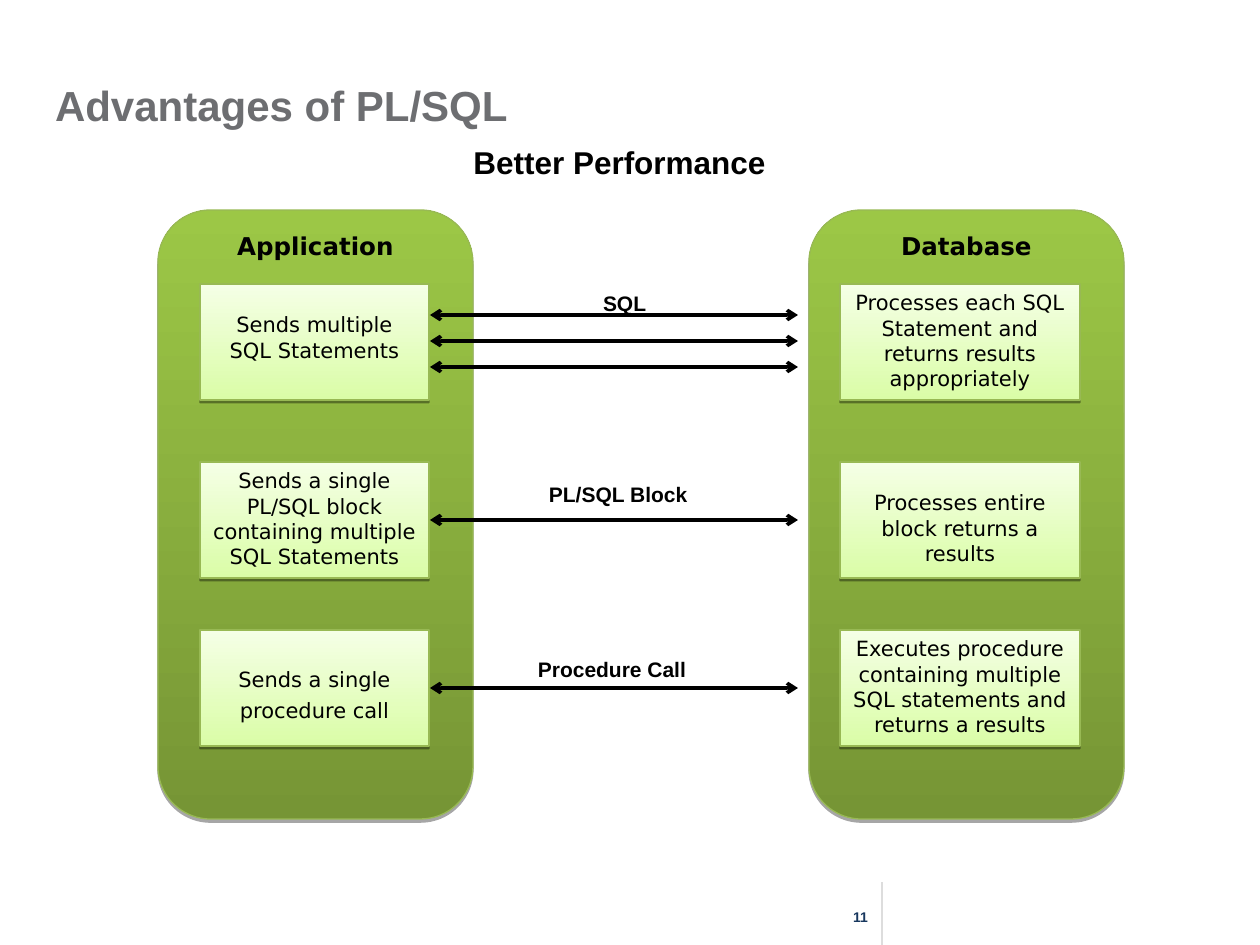
from lxml.etree import SubElement
from pptx import Presentation
from pptx.dml.color import RGBColor
from pptx.enum.shapes import MSO_CONNECTOR as Connector, MSO_SHAPE as Shape
from pptx.enum.text import MSO_ANCHOR as Anchor, PP_ALIGN as Align
from pptx.oxml.ns import qn
from pptx.util import Emu, Pt

PX_PER_INCH = 126
COLORS = {
    "title": "6D6E71", "text": "000000", "number": "17375E", "rule": "DDDDDD",
    "border": "98B954", "panel_low": "769535", "panel_high": "9CC746",
    "step_low": "DAFDA7", "step_high": "F5FFE6",
}
INSET_X, INSET_Y = 13, 6
STEP_TOPS, STEP_HEIGHT = (74, 252, 420), 116

# Each step: text and the extra space above it
APPLICATION_STEPS = [
    ("Sends multiple SQL Statements", 22),
    ("Sends a single PL/SQL block containing multiple SQL Statements", 0),
    ("Sends a single\nprocedure call", 31),
]
DATABASE_STEPS = [
    ("Processes each SQL Statement and returns results appropriately", 0),
    ("Processes entire block returns a results", 22),
    ("Executes procedure containing multiple SQL statements and returns a results", 0),
]
# Each call: label, label box (left, top, width), heights of its arrows
CALLS = [
    ("SQL", (160, 75, 84), (105, 131, 157)),
    ("PL/SQL Block", (106, 266, 168), (310,)),
    ("Procedure Call", (95, 441, 189), (478,)),
]


def px(length):
    return Emu(round(length * 914400 / PX_PER_INCH))


def color(name):
    return RGBColor.from_string(COLORS[name])


def write(shape, text, *, size, font="Arial", bold=False, fill="text",
          align=Align.LEFT, anchor=Anchor.TOP, spacing=None, before=3, drop=0):
    frame = shape.text_frame
    frame.word_wrap = True
    frame.vertical_anchor = anchor
    frame.margin_left = frame.margin_right = px(INSET_X)
    frame.margin_top, frame.margin_bottom = px(INSET_Y + drop), px(INSET_Y)
    for index, line in enumerate(text.split("\n")):
        paragraph = frame.add_paragraph() if index else frame.paragraphs[0]
        paragraph.text = line
        paragraph.alignment = align
        if spacing:
            paragraph.line_spacing = spacing
        if index:
            paragraph.space_before = Pt(before)
        paragraph.font.name = font
        paragraph.font.size = Pt(size)
        paragraph.font.bold = bold
        paragraph.font.color.rgb = color(fill)


def add_text(slide, box, text, **style):
    write(slide.shapes.add_textbox(*map(px, box)), text, **style)


def add_card(slide, kind, box, low, high, shadow_alpha, shadow_distance):
    """Gradient card, lighter at the top, with a hard shadow below."""
    shape = slide.shapes.add_shape(kind, *map(px, box))
    shape.fill.gradient()
    shape.fill.gradient_angle = 90
    for stop, name in zip(shape.fill.gradient_stops, (low, high)):
        stop.color.rgb = color(name)
    shape.line.color.rgb = color("border")
    shape.line.width = Pt(0.75)
    shape.shadow.inherit = False
    effects = shape._element.spPr.find(qn("a:effectLst"))
    shadow = SubElement(effects, qn("a:outerShdw"), blurRad="0",
                        dist=str(Pt(shadow_distance)), dir="5400000",
                        algn="ctr", rotWithShape="0")
    tint = SubElement(shadow, qn("a:srgbClr"), val="000000")
    SubElement(tint, qn("a:alpha"), val=str(shadow_alpha * 1000))
    return shape


def add_line(slide, start, end, name, width, arrows=False):
    line = slide.shapes.add_connector(Connector.STRAIGHT, *map(px, start + end))
    line.line.color.rgb = color(name)
    line.line.width = Pt(width)
    if arrows:
        outline = line.line._get_or_add_ln()
        for tag in ("a:headEnd", "a:tailEnd"):
            SubElement(outline, qn(tag), type="arrow")
    SubElement(line._element.spPr, qn("a:effectLst"))


def add_headings(slide, box):
    left, top, width, height = box
    add_text(slide, (left, top, 924, 57), "Advantages of PL/SQL", size=24,
             bold=True, fill="title", anchor=Anchor.MIDDLE)
    add_text(slide, (left, top + 56, width, height - 56), "Better Performance",
             size=18, bold=True, align=Align.CENTER, spacing=1.14)


def add_panel(slide, box, heading, steps, step_left, step_width):
    left, top, _, _ = box
    panel = add_card(slide, Shape.ROUNDED_RECTANGLE, box,
                     "panel_low", "panel_high", 35, 1.8)
    write(panel, heading, size=14, font="DejaVu Sans", bold=True, align=Align.CENTER)
    for step_top, (text, drop) in zip(STEP_TOPS, steps):
        step_box = (left + step_left, top + step_top, step_width, STEP_HEIGHT)
        step = add_card(slide, Shape.RECTANGLE, step_box,
                        "step_low", "step_high", 38, 1.6)
        write(step, text, size=12, font="DejaVu Sans", align=Align.CENTER, drop=drop)


def add_calls(slide, box):
    left, top, width, _ = box
    for label, (label_left, label_top, label_width), arrow_tops in CALLS:
        for arrow_top in arrow_tops:
            y = top + arrow_top
            add_line(slide, (left, y), (left + width, y), "text", 2, arrows=True)
        add_text(slide, (left + label_left, top + label_top, label_width, 38),
                 label, size=12, bold=True)


def add_footer(slide, box):
    left, top, width, height = box
    add_text(slide, (left, top + 21, width, 38), "11", size=8, bold=True,
             fill="number", align=Align.CENTER)
    rule_x = left + 53
    add_line(slide, (rule_x, top), (rule_x, top + height), "rule", 1.5)


def main():
    presentation = Presentation()
    presentation.slide_width, presentation.slide_height = px(1260), px(945)
    slide = presentation.slides.add_slide(presentation.slide_layouts[6])

    add_footer(slide, (829, 882, 63, 63))
    add_headings(slide, (42, 76, 1155, 812))
    add_panel(slide, (158, 210, 315, 609), "Application", APPLICATION_STEPS, 42, 229)
    add_panel(slide, (809, 210, 315, 609), "Database", DATABASE_STEPS, 31, 240)
    add_calls(slide, (430, 210, 368, 609))

    presentation.save("out.pptx")


if __name__ == "__main__":
    main()
